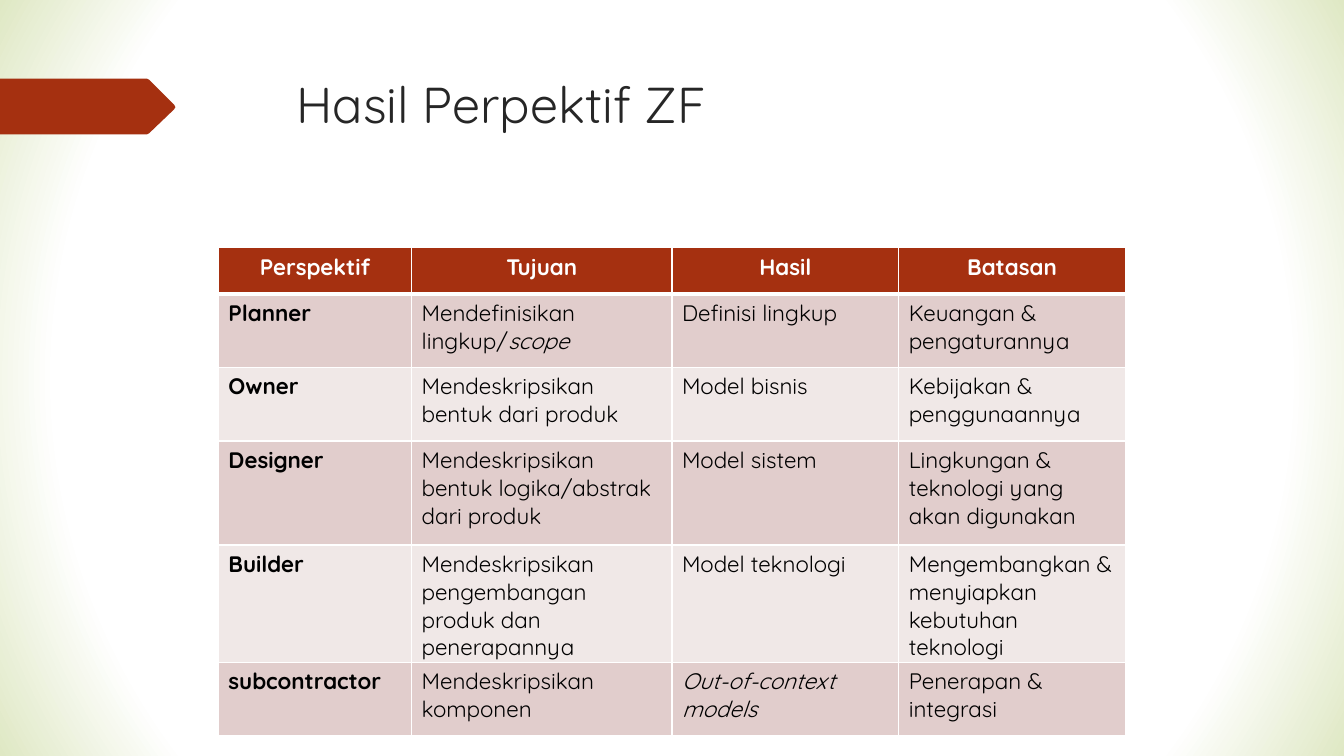
from lxml import etree
from pptx import Presentation
from pptx.dml.color import RGBColor
from pptx.enum.text import MSO_ANCHOR, PP_ALIGN
from pptx.oxml import parse_xml
from pptx.util import Pt

TOP = MSO_ANCHOR.TOP
LEFT = PP_ALIGN.LEFT
CENTER = PP_ALIGN.CENTER
PX = 9525
DRAWING = "http://schemas.openxmlformats.org/drawingml/2006/main"
PRESENTATION = "http://schemas.openxmlformats.org/presentationml/2006/main"

THEME = {
    "font": "Quicksand",
    "title_size": 36,
    "table_size": 16,
    "title": "262626",
    "ink": "000000",
    "white": "FFFFFF",
    "accent": "A53010",
    "bands": ("E1CDCC", "F0E8E7"),
    "glow": "DFE8C4",
}


def write(frame, text, size, color, bold=False, italic=False, align=LEFT):
    paragraph = frame.paragraphs[0]
    paragraph.alignment = align
    run = paragraph.add_run()
    run.text = text
    run.font.name = THEME["font"]
    run.font.size = Pt(size)
    run.font.color.rgb = RGBColor.from_string(color)
    run.font.bold = bold
    run.font.italic = italic


def set_borders(cell, top, bottom):
    widths = {"lnL": 1, "lnR": 1, "lnT": top, "lnB": bottom}
    properties = cell._tc.get_or_add_tcPr()
    for position, (side, width) in enumerate(widths.items()):
        line = etree.Element(f"{{{DRAWING}}}{side}", w=str(Pt(width)))
        fill = etree.SubElement(line, f"{{{DRAWING}}}solidFill")
        etree.SubElement(fill, f"{{{DRAWING}}}srgbClr", val=THEME["white"])
        properties.insert(position, line)


prs = Presentation()
prs.slide_width = 1280 * PX
prs.slide_height = 720 * PX
slide = prs.slides.add_slide(prs.slide_layouts[6])

backdrop = parse_xml(
    f'<p:bg xmlns:p="{PRESENTATION}" xmlns:a="{DRAWING}"><p:bgPr>'
    '<a:gradFill rotWithShape="1"><a:gsLst>'
    f'<a:gs pos="0"><a:srgbClr val="{THEME["white"]}"/></a:gs>'
    f'<a:gs pos="80000"><a:srgbClr val="{THEME["white"]}"/></a:gs>'
    f'<a:gs pos="100000"><a:srgbClr val="{THEME["glow"]}"/></a:gs>'
    '</a:gsLst><a:path path="circle">'
    '<a:fillToRect l="50000" t="50000" r="50000" b="50000"/>'
    '</a:path></a:gradFill><a:effectLst/></p:bgPr></p:bg>'
)
slide.element.cSld.insert(0, backdrop)

pointer_outline = [
    (140, 75), (142, 76), (166, 100), (167, 102),
    (166, 104), (142, 127), (140, 128), (0, 128),
]
outline = slide.shapes.build_freeform(0, 75, scale=PX)
outline.add_line_segments(pointer_outline, close=True)
pointer = outline.convert_to_shape()
pointer.shadow.inherit = False
pointer.fill.solid()
pointer.fill.fore_color.rgb = RGBColor.from_string(THEME["accent"])
pointer.line.fill.background()

title = slide.shapes.add_textbox(273 * PX, 65 * PX, 936 * PX, 134 * PX).text_frame
title.word_wrap = True
title.vertical_anchor = TOP
write(title, "Hasil Perpektif ZF", THEME["title_size"], THEME["title"])

headings = ["Perspektif", "Tujuan", "Hasil", "Batasan"]
perspectives = [
    ["Planner", "Mendefinisikan lingkup/", "Definisi lingkup", "Keuangan & pengaturannya"],
    ["Owner", "Mendeskripsikan bentuk dari produk", "Model bisnis",
     "Kebijakan & penggunaannya"],
    ["Designer", "Mendeskripsikan bentuk logika/abstrak dari produk", "Model sistem",
     "Lingkungan & teknologi yang akan digunakan"],
    ["Builder", "Mendeskripsikan pengembangan produk dan penerapannya", "Model teknologi",
     "Mengembangkan & menyiapkan kebutuhan teknologi"],
    ["subcontractor", "Mendeskripsikan komponen", "Out-of-context models",
     "Penerapan & integrasi"],
]
column_widths = [184, 248, 216, 216]
row_heights = [44, 70, 70, 99, 99, 70]

table = slide.shapes.add_table(
    len(row_heights), len(column_widths),
    208 * PX, 236 * PX, sum(column_widths) * PX, sum(row_heights) * PX,
).table
for column, width in zip(table.columns, column_widths):
    column.width = width * PX
for row, height in zip(table.rows, row_heights):
    row.height = height * PX

for r, entries in enumerate([headings] + perspectives):
    header = r == 0
    band = THEME["accent"] if header else THEME["bands"][(r - 1) % 2]
    for c, entry in enumerate(entries):
        cell = table.cell(r, c)
        cell.fill.solid()
        cell.fill.fore_color.rgb = RGBColor.from_string(band)
        set_borders(cell, top=3 if r == 1 else 1, bottom=3 if header else 1)
        write(
            cell.text_frame, entry, THEME["table_size"],
            THEME["white"] if header else THEME["ink"],
            bold=header or c == 0,
            italic=entry == "Out-of-context models",
            align=CENTER if header else LEFT,
        )

planner_goal = table.cell(1, 1).text_frame
write(planner_goal, "scope", THEME["table_size"], THEME["ink"], italic=True)

prs.save("out.pptx")
